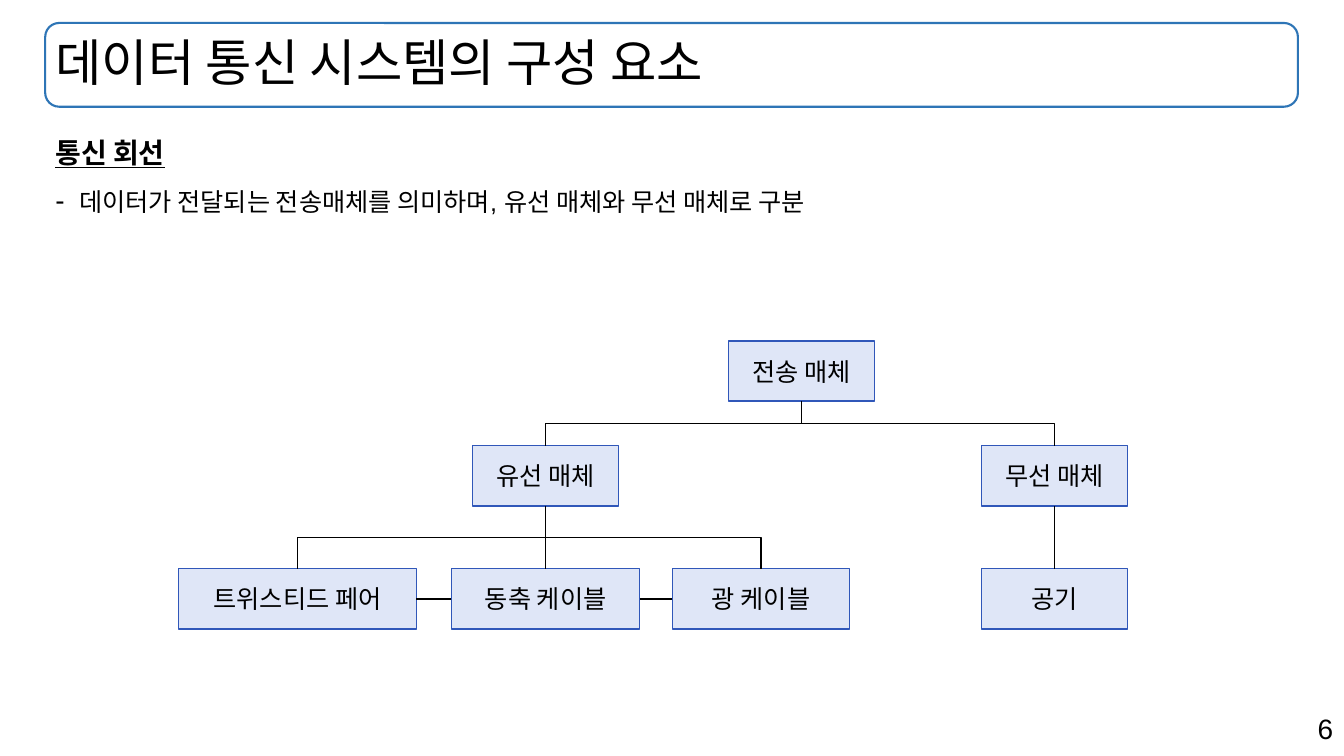
from dataclasses import dataclass

from lxml import etree
from pptx import Presentation
from pptx.dml.color import RGBColor
from pptx.enum import shapes as shp, text as txt
from pptx.oxml import ns
from pptx.util import Cm, Pt

BLACK = RGBColor(0x00, 0x00, 0x00)
FRAME_BLUE = RGBColor(0x2E, 0x75, 0xB6)
NODE_FILL = RGBColor(0xDF, 0xE6, 0xF7)
NODE_LINE = RGBColor(0x30, 0x57, 0xB9)
FONT = "Arial"

MARGIN, CONTENT_WIDTH = Cm(1.14), Cm(31.57)
TITLE_TOP, TITLE_HEIGHT = Cm(0.58), Cm(2.11)
NODE_HEIGHT = 1.52
LEVEL_TOPS = (8.59, 11.23, 14.33)
TOP, RIGHT, BOTTOM, LEFT = 0, 3, 2, 1  # connection sites


@dataclass(frozen=True)
class Node:
    label: str
    level: int
    center: float  # cm
    width: float = 3.68  # cm


@dataclass(frozen=True)
class Link:
    start: Node
    end: Node
    sites: tuple[int, int] = (BOTTOM, TOP)


def style(paragraph, size: float, bold: bool = False) -> None:
    font = paragraph.font
    font.name, font.size, font.bold = FONT, Pt(size), bold
    font.color.rgb = BLACK


def place(shape, left: int, top: int, width: int, height: int) -> None:
    shape.left, shape.top, shape.width, shape.height = left, top, width, height


def set_bullet(paragraph, char: str = "", indent: int = 0) -> None:
    props = paragraph._p.get_or_add_pPr()
    props.set("marL", str(indent))
    props.set("indent", str(-indent))
    if char:
        etree.SubElement(props, ns.qn("a:buSzPct")).set("val", "111000")
        etree.SubElement(props, ns.qn("a:buFont")).set("typeface", FONT)
        etree.SubElement(props, ns.qn("a:buChar")).set("char", char)
    else:
        etree.SubElement(props, ns.qn("a:buNone"))


def draw_node(slide, node: Node):
    box = slide.shapes.add_shape(
        shp.MSO_SHAPE.RECTANGLE,
        Cm(node.center - node.width / 2), Cm(LEVEL_TOPS[node.level]),
        Cm(node.width), Cm(NODE_HEIGHT))
    box.shadow.inherit = False
    box.fill.solid()
    box.fill.fore_color.rgb = NODE_FILL
    box.line.color.rgb = NODE_LINE
    box.line.width = Pt(1)
    frame = box.text_frame
    frame.word_wrap = False
    frame.vertical_anchor = txt.MSO_ANCHOR.MIDDLE
    label = frame.paragraphs[0]
    label.text = node.label
    label.alignment = txt.PP_ALIGN.CENTER
    style(label, 18)
    return box


def draw_link(slide, link: Link, boxes: dict) -> None:
    bent = link.sites == (BOTTOM, TOP) and link.start.center != link.end.center
    kind = shp.MSO_CONNECTOR.ELBOW if bent else shp.MSO_CONNECTOR.STRAIGHT
    line = slide.shapes.add_connector(kind, 0, 0, 0, 0)
    line.begin_connect(boxes[link.start], link.sites[0])
    line.end_connect(boxes[link.end], link.sites[1])
    line.line.color.rgb = BLACK
    line.line.width = Pt(1)
    props = line._element.spPr
    etree.SubElement(props, ns.qn("a:effectLst"))
    if bent:
        # A quarter turn makes the elbow leave downwards
        x1, y1, x2, y2 = line.begin_x, line.begin_y, line.end_x, line.end_y
        run, drop = abs(x2 - x1), y2 - y1
        place(line, (x1 + x2 - drop) // 2, (y1 + y2 - run) // 2, drop, run)
        xfrm = props.find(ns.qn("a:xfrm"))
        xfrm.set("rot", "5400000")
        xfrm.set("flipH", "0")
        xfrm.set("flipV", "1" if x2 > x1 else "0")


def draw_header(slide) -> None:
    frame = slide.shapes.add_shape(
        shp.MSO_SHAPE.ROUNDED_RECTANGLE,
        MARGIN, TITLE_TOP, CONTENT_WIDTH, TITLE_HEIGHT)
    frame.shadow.inherit = False
    frame.fill.background()
    frame.line.color.rgb = FRAME_BLUE
    frame.line.width = Pt(1.5)

    title = slide.shapes.title
    place(title, MARGIN, TITLE_TOP, CONTENT_WIDTH, TITLE_HEIGHT)
    title.text_frame.auto_size = txt.MSO_AUTO_SIZE.NONE
    title.text_frame.vertical_anchor = txt.MSO_ANCHOR.MIDDLE
    heading = title.text_frame.paragraphs[0]
    heading.text = "데이터 통신 시스템의 구성 요소"
    heading.alignment = txt.PP_ALIGN.LEFT
    heading.line_spacing = 0.9
    style(heading, 36)


def draw_body(slide) -> None:
    body = slide.placeholders[1]
    place(body, MARGIN, Cm(3.2), CONTENT_WIDTH, Cm(14.05))
    body.text_frame.auto_size = txt.MSO_AUTO_SIZE.NONE
    topic = body.text_frame.paragraphs[0]
    topic.text = "통신 회선"
    topic.line_spacing = 1.1
    topic.space_before = Pt(0)
    set_bullet(topic)
    style(topic, 20, bold=True)
    topic.font.underline = True

    meaning = body.text_frame.add_paragraph()
    meaning.text = "데이터가 전달되는 전송매체를 의미하며, 유선 매체와 무선 매체로 구분"
    meaning.line_spacing = 1.1
    meaning.space_before = Pt(10)
    set_bullet(meaning, "-", Cm(0.6))
    style(meaning, 18)


def draw_page_number(slide) -> None:
    box = slide.shapes.add_textbox(Cm(23.95), Cm(17.8), Cm(9.9), Cm(1.11))
    box.text_frame.word_wrap = True
    number = box.text_frame.paragraphs[0]
    number.text = "6"
    number.alignment = txt.PP_ALIGN.RIGHT
    style(number, 20)


def draw_media_tree(slide) -> None:
    media = Node("전송 매체", 0, 20.2)
    wired = Node("유선 매체", 1, 13.75)
    wireless = Node("무선 매체", 1, 26.58)
    twisted_pair = Node("트위스티드 페어", 2, 7.5, 5.99)
    coaxial = Node("동축 케이블", 2, 13.75, 4.75)
    optical = Node("광 케이블", 2, 19.18, 4.47)
    air = Node("공기", 2, 26.58)

    nodes = (media, wired, wireless, twisted_pair, coaxial, optical, air)
    boxes = {node: draw_node(slide, node) for node in nodes}
    links = (
        Link(media, wired), Link(media, wireless),
        Link(wired, twisted_pair), Link(wired, coaxial), Link(wired, optical),
        Link(wireless, air),
        Link(twisted_pair, coaxial, (RIGHT, LEFT)),
        Link(coaxial, optical, (RIGHT, LEFT)),
    )
    for link in links:
        draw_link(slide, link, boxes)


def main() -> None:
    prs = Presentation()
    prs.slide_width, prs.slide_height = Cm(33.87), Cm(19.05)
    slide = prs.slides.add_slide(prs.slide_layouts[1])
    draw_header(slide)
    draw_body(slide)
    draw_media_tree(slide)
    draw_page_number(slide)
    prs.save("out.pptx")


if __name__ == "__main__":
    main()
